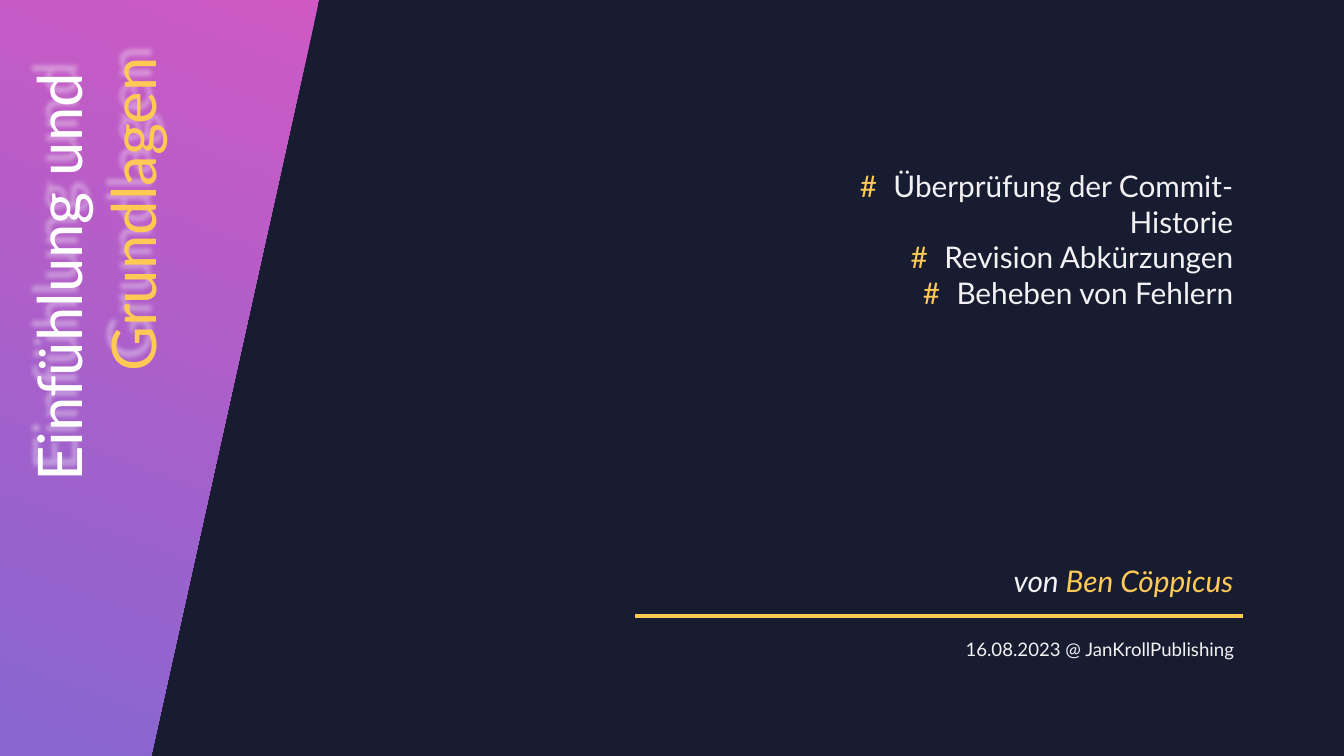
"""Build a dark title slide with a slanted gradient band and a rotated heading."""
from lxml import etree
from pptx import Presentation
from pptx.dml.color import RGBColor
from pptx.enum import shapes, text
from pptx.oxml import ns
from pptx.util import Pt

PX = 9525
THEME = {
    "back": "171C30", "pink": "CE59C4", "violet": "8766D0",
    "gold": "FFC955", "white": "FFFFFF", "pale": "F2F2F5",
    "font": "Lato", "title": 44, "body": 21.3, "small": 13.3, "rule": 3,
}


def tint(name):
    return RGBColor.from_string(THEME[name])


def write(box, size, rows, italic=False):
    """Add a right-aligned text box; each row is a list of (words, colour)."""
    item = slide.shapes.add_textbox(*[n * PX for n in box])
    frame = item.text_frame
    frame.word_wrap = True
    frame.auto_size = text.MSO_AUTO_SIZE.SHAPE_TO_FIT_TEXT
    for i, row in enumerate(rows):
        para = frame.add_paragraph() if i else frame.paragraphs[0]
        para.alignment = text.PP_ALIGN.RIGHT
        for words, color in row:
            run = para.add_run()
            run.text = words
            run.font.name = THEME["font"]
            run.font.size = Pt(THEME[size])
            run.font.color.rgb = tint(color)
            if italic:
                run.font.italic = True
    return item


deck = Presentation()
deck.slide_width, deck.slide_height = 1280 * PX, 720 * PX
slide = deck.slides.add_slide(deck.slide_layouts[6])
slide.background.fill.solid()
slide.background.fill.fore_color.rgb = tint("back")

path = slide.shapes.build_freeform(0, 0, scale=PX)
path.add_line_segments([(304, 0), (144, 720), (0, 720)], close=True)
band = path.convert_to_shape()
band.shadow.inherit = False
band.line.fill.background()
band.fill.gradient()
band.fill.gradient_angle = 250
for stop, name, place in zip(band.fill.gradient_stops, ("pink", "violet"), (0, 1)):
    stop.color.rgb = tint(name)
    stop.position = place

title = write((-224, 284, 630, 152), "title",
              [[("Einfühlung und ", "white")], [("Grundlagen", "gold")]])
title.rotation = 270
glow = etree.SubElement(title._element.spPr, ns.qn("a:effectLst"))
shade = etree.SubElement(glow, ns.qn("a:outerShdw"), blurRad=str(5 * PX),
                         dist=str(12 * PX), dir=str(247 * 60000), rotWithShape="0")
color = etree.SubElement(shade, ns.qn("a:srgbClr"), val=THEME["white"])
etree.SubElement(color, ns.qn("a:alpha"), val="40000")

topics = ["Überprüfung der Commit-Historie", "Revision Abkürzungen", "Beheben von Fehlern"]
agenda = write((784, 155, 400, 148), "body", [[(topic, "pale")] for topic in topics])
for para in agenda.text_frame.paragraphs:
    props = para._p.get_or_add_pPr()
    props.set("marL", str(32 * PX))
    props.set("indent", str(-32 * PX))
    mark = etree.SubElement(props, ns.qn("a:buClr"))
    etree.SubElement(mark, ns.qn("a:srgbClr"), val=THEME["gold"])
    etree.SubElement(props, ns.qn("a:buFont"), typeface=THEME["font"])
    etree.SubElement(props, ns.qn("a:buChar"), char="#")

rule = slide.shapes.add_connector(shapes.MSO_CONNECTOR.STRAIGHT,
                                  605 * PX, 587 * PX, 1184 * PX, 587 * PX)
rule.line.color.rgb = tint("gold")
rule.line.width = Pt(THEME["rule"])
etree.SubElement(rule._element.spPr, ns.qn("a:effectLst"))

write((757, 531, 427, 44), "body",
      [[("von ", "pale"), ("Ben Cöppicus", "gold")]], italic=True)
write((699, 603, 486, 32), "small", [[("16.08.2023 @ JanKrollPublishing", "pale")]])

deck.save("out.pptx")
